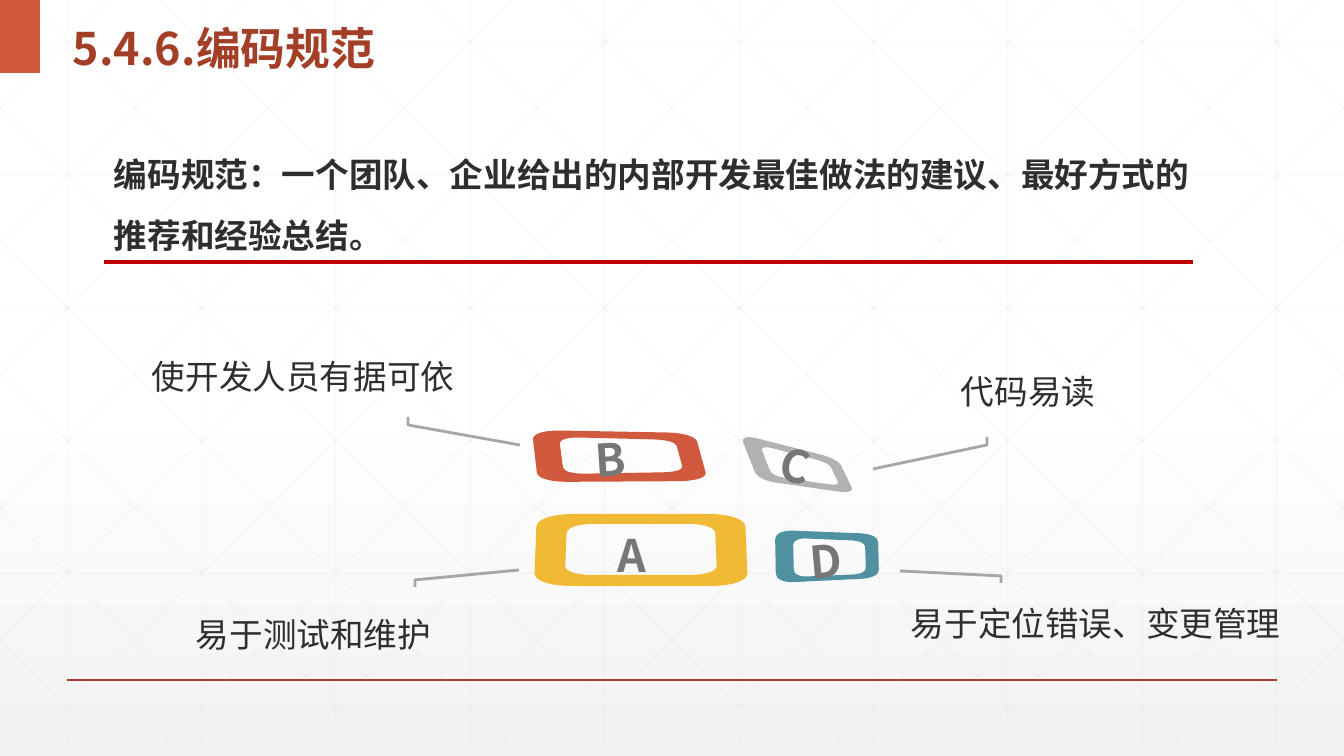
from lxml import etree
from pptx import Presentation
from pptx.dml.color import RGBColor
from pptx.enum.shapes import MSO_CONNECTOR, MSO_SHAPE
from pptx.enum.text import MSO_ANCHOR, PP_ALIGN
from pptx.oxml.ns import qn
from pptx.util import Pt

PX = 914400 / 100.8
WIDE, HIGH = 1344, 756
LINE, RECT = MSO_CONNECTOR.STRAIGHT, MSO_SHAPE.RECTANGLE
TOP, MID = MSO_ANCHOR.TOP, MSO_ANCHOR.MIDDLE
LEFT, FULL = PP_ALIGN.LEFT, PP_ALIGN.JUSTIFY

WHITE = RGBColor(0xFF, 0xFF, 0xFF)
PALE = RGBColor(0xF2, 0xF2, 0xF2)
MESH = RGBColor(0xD9, 0xD9, 0xD9)
RUST = RGBColor(0xA4, 0x3F, 0x27)
CORAL = RGBColor(0xD1, 0x5A, 0x3E)
GOLD = RGBColor(0xF0, 0xBA, 0x34)
GREY = RGBColor(0xB2, 0xB2, 0xB2)
TEAL = RGBColor(0x4F, 0x91, 0xA1)
INK = RGBColor(0x2D, 0x2E, 0x2D)
ASH = RGBColor(0xA6, 0xA6, 0xA6)
STONE = RGBColor(0x76, 0x78, 0x76)
RED = RGBColor(0xC0, 0x00, 0x00)
NOTO = "Noto Sans CJK SC"

# Content: text, box (left, top, width, height)
TITLE = ("5.4.6.编码规范", (63, 3, 574, 74))
LEAD = ("编码规范：一个团队、企业给出的内部开发最佳做法的建议、最好方式的推荐和经验总结。",
        (104, 129, 1128, 132))
LABELS = [
    ("使开发人员有据可依", (142, 351, 394, 50), LEFT),
    ("代码易读", (951, 366, 203, 50), LEFT),
    ("易于定位错误、变更管理", (901, 598, 405, 50), FULL),
    ("易于测试和维护", (186, 609, 351, 50), LEFT),
]
# Letter, its box and turn, ring colour, outer and inner corners
RINGS = [
    ("A", (608, 523, 54, 64), 0, GOLD,
     [(537, 514), (745, 514), (748, 586), (534, 586)],
     [(567, 524), (715, 524), (717, 575), (565, 575)]),
    ("B", (585, 427, 51, 64), -4, CORAL,
     [(532, 430), (695, 433), (708, 481), (538, 482)],
     [(559, 437), (675, 440), (684, 472), (564, 474)]),
    ("C", (771, 433, 50, 64), 12, GREY,
     [(740, 434), (838, 459), (855, 494), (758, 480)],
     [(760, 445), (829, 463), (840, 486), (772, 476)]),
    ("D", (800, 528, 67, 64), -5, TEAL,
     [(775, 530), (878, 534), (879, 578), (776, 583)],
     [(793, 538), (865, 541), (866, 574), (794, 577)]),
]
LEADERS = [
    [(873, 469), (987, 445), (987, 437)],
    [(900, 571), (1001, 576), (1001, 583)],
    [(520, 445), (408, 425), (408, 417)],
    [(519, 570), (415, 580), (415, 587)],
]


def emu(*vals):
    return [round(v * PX) for v in vals]


prs = Presentation()
prs.slide_width, prs.slide_height = emu(WIDE, HIGH)
slide = prs.slides.add_slide(prs.slide_layouts[6])
shapes = slide.shapes


def rule(home, x1, y1, x2, y2, color, size, alpha=None):
    line = home.add_connector(LINE, *emu(x1, y1, x2, y2))
    line.line.color.rgb, line.line.width = color, Pt(size)
    props = line._element.spPr
    etree.SubElement(props, qn("a:effectLst"))
    if alpha:
        tint = props.find(".//" + qn("a:srgbClr"))
        etree.SubElement(tint, qn("a:alpha")).set("val", str(alpha * 1000))


def write(home, text, box, look, space=1, anchor=MID, align=LEFT, wrap=True, turn=0):
    area = home.add_textbox(*emu(*box))
    area.rotation = turn
    frame = area.text_frame
    frame.word_wrap, frame.vertical_anchor = wrap, anchor
    para = frame.paragraphs[0]
    para.line_spacing, para.alignment = space, align
    run = para.add_run()
    run.text = text
    for key, val in look["font"].items():
        setattr(run.font, key, val)
    run.font.color.rgb = look["color"]
    etree.SubElement(run.font._element, qn("a:ea")).set("typeface", NOTO)


def trace(home, paths, closed):
    first, *rest = [[emu(*p) for p in path] for path in paths]
    pen = home.build_freeform(*first[0], scale=1.0)
    pen.add_line_segments(first[1:], close=closed)
    for path in rest:
        pen.move_to(*path[0])
        pen.add_line_segments(path[1:], close=closed)
    form = pen.convert_to_shape()
    form.shadow.inherit = False
    return form


def arcs(quad, cut=0.18, pull=0.6):
    """Give each corner as curve start, two handles and curve end."""
    points = []
    for i, (x, y) in enumerate(quad):
        for side, far in ((i - 1, cut), (i - 1, cut * (1 - pull)),
                          (i + 1, cut * (1 - pull)), (i + 1, cut)):
            sx, sy = quad[side % 4]
            points.append((x + far * (sx - x), y + far * (sy - y)))
    return points


def bend(form):
    """Join the handles and end of each corner into one cubic curve."""
    lines = list(form._element.iter(qn("a:lnTo")))
    # Each ring of 16 points has 15 segments: c1, c2, end, next start
    for ring in range(0, len(lines), 15):
        for at in range(ring, ring + 15, 4):
            c1, c2, end = lines[at:at + 3]
            curve = etree.Element(qn("a:cubicBezTo"))
            c1.addprevious(curve)
            for seg in (c1, c2, end):
                curve.append(seg[0])
                seg.getparent().remove(seg)


# Background
fill = slide.background.fill
fill.gradient()
fill.gradient_angle = 270
for stop, color, place in zip(fill.gradient_stops, (WHITE, PALE), (0.53, 1)):
    stop.color.rgb, stop.position = color, place

# Faint mesh: upright, level, then both diagonals
STEP, BASE, RUN = WIDE / 10, 743, 751
mesh = [(67 + STEP * i, 0, 67 + STEP * i, BASE) for i in range(10)]
mesh += [(0, 42 + 132.7 * i, WIDE, 42 + 132.7 * i) for i in range(6)]
for i in range(-5, 10):
    head = 25 + STEP * i
    x1, x2 = max(head, 0), min(head + RUN, WIDE)
    y1, y2 = [(x - head) * BASE / RUN for x in (x1, x2)]
    mesh += [(x1, y1, x2, y2), (WIDE - x1, y1, WIDE - x2, y2)]
net = shapes.add_group_shape().shapes
for ends in mesh:
    rule(net, *ends, MESH, 0.5, 25)

# Frame and title
rule(shapes, 67, 680, 1277, 680, RUST, 1)
tab = shapes.add_shape(RECT, *emu(0, 0, 40, 73))
tab.shadow.inherit = False
tab.fill.solid()
tab.fill.fore_color.rgb = CORAL
tab.line.fill.background()
BIG = {"name": NOTO, "size": Pt(32), "bold": True}
BODY = {"name": "Arial", "size": Pt(24)}
BOLD = {**BODY, "bold": True}
write(shapes, *TITLE, {"font": BIG, "color": RUST}, space=1.3)
write(shapes, *LEAD, {"font": BOLD, "color": INK}, space=1.5, anchor=TOP)

# Leader lines
for path in LEADERS:
    form = trace(shapes, [path], False)
    form.fill.background()
    form.line.color.rgb, form.line.width = ASH, Pt(2)

# Lettered rings
for text, box, turn, color, outer, inner in RINGS:
    pair = shapes.add_group_shape().shapes
    form = trace(pair, [arcs(outer), arcs(inner)], True)
    bend(form)
    form.fill.solid()
    form.fill.fore_color.rgb = color
    form.line.fill.background()
    write(pair, text, box, {"font": BIG, "color": STONE}, wrap=False, turn=turn)

# Labels and red rule
for text, box, align in LABELS:
    write(shapes, text, box, {"font": BODY, "color": INK}, align=align)
rule(shapes, 104, 262, 1193, 262, RED, 3)

prs.save("out.pptx")
